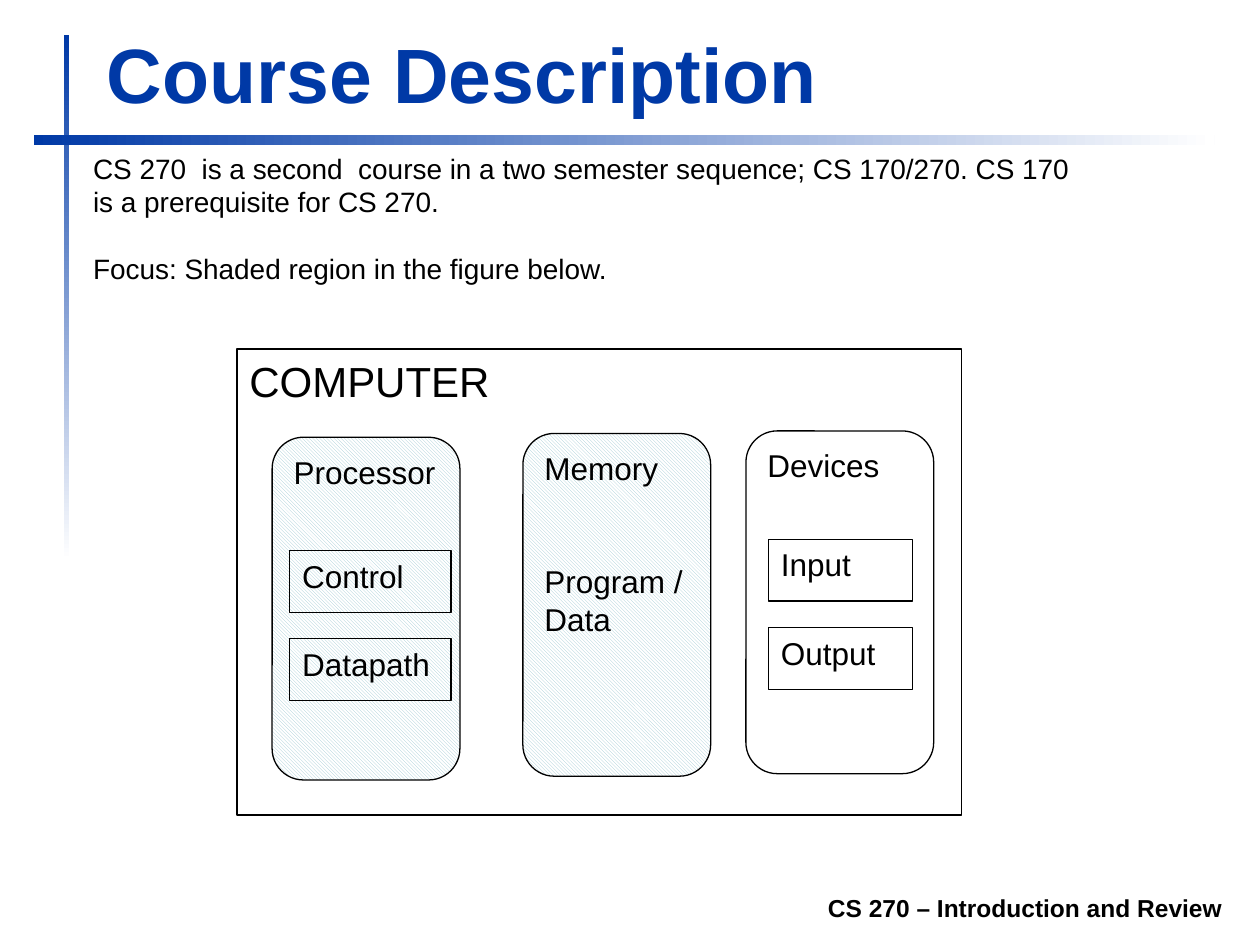
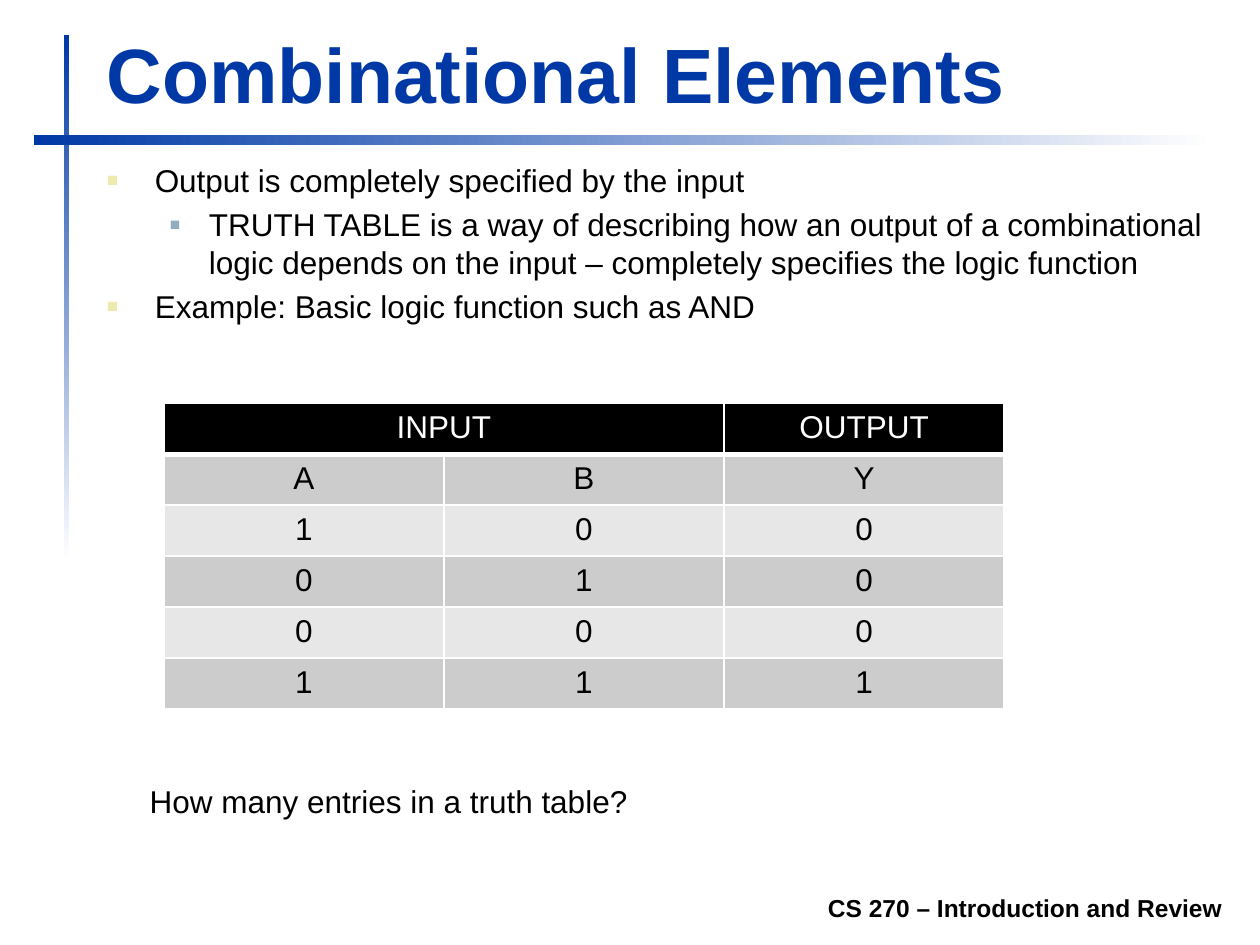
from lxml import etree
from pptx import Presentation, util as u
from pptx.dml.color import RGBColor
from pptx.enum import dml, shapes, text
from pptx.oxml import ns

FONT = "Arial"
BLUE, BLACK, WHITE = "0039A6", "000000", "FFFFFF"
HATCH = "9FCAD3"
BAND_COLORS = ["CCCCCC", "E7E7E7"]
BULLETS = [
    {"left": 0.38, "hang": 0.38, "color": "ECEAAC", "percent": 60},
    {"left": 0.81, "hang": 0.31, "color": "91AFBF", "percent": 55},
]
FOOTER = "CS 270 – Introduction and Review"


def rgb(value):
    """Turn a hex string into a colour."""
    return RGBColor.from_string(value)


def inches(*values):
    """Convert several numbers to inch lengths."""
    return [u.Inches(value) for value in values]


def add_xml(parent, tag, **attributes):
    """Append a DrawingML element and return it."""
    return etree.SubElement(parent, ns.qn(f"a:{tag}"), attributes)


def write_text(frame, *lines, size=18, bold=False, color=BLACK,
               align=text.PP_ALIGN.LEFT, gap=0):
    """Write lines as paragraphs, with a gap in points between them."""
    for index, line in enumerate(lines):
        paragraph = frame.add_paragraph() if index else frame.paragraphs[0]
        paragraph.alignment = align
        if index and gap:
            paragraph.space_before = u.Pt(gap)
        run = paragraph.add_run()
        run.text = line
        run.font.name = FONT
        run.font.size = u.Pt(size)
        run.font.bold = bold
        run.font.color.rgb = rgb(color)


def add_text_box(slide, place, *lines, wrap=True,
                 anchor=text.MSO_ANCHOR.TOP, **style):
    """Add a text box and return its text frame."""
    frame = slide.shapes.add_textbox(*inches(*place)).text_frame
    frame.word_wrap = wrap
    frame.vertical_anchor = anchor
    write_text(frame, *lines, **style)
    return frame


def add_fading_bar(slide, place, angle):
    """Add a bar that fades from blue to white."""
    bar = slide.shapes.add_shape(shapes.MSO_SHAPE.RECTANGLE, *inches(*place))
    bar.shadow.inherit = False
    bar.line.fill.background()
    bar.fill.gradient()
    bar.fill.gradient_angle = angle
    for stop, color in zip(bar.fill.gradient_stops, (BLUE, WHITE)):
        stop.color.rgb = rgb(color)


def add_component(slide, place, *lines, rounded=False, shaded=False, **style):
    """Add an outlined component box, hatched if it is in focus."""
    kind = shapes.MSO_SHAPE.ROUNDED_RECTANGLE if rounded else shapes.MSO_SHAPE.RECTANGLE
    box = slide.shapes.add_shape(kind, *inches(*place))
    box.shadow.inherit = False
    box.line.color.rgb = rgb(BLACK)
    box.line.width = u.Pt(0.75)
    if shaded:
        box.fill.patterned()
        box.fill.pattern = dml.MSO_PATTERN.LIGHT_DOWNWARD_DIAGONAL
        box.fill.fore_color.rgb = rgb(HATCH)
        box.fill.back_color.rgb = rgb(WHITE)
    else:
        box.fill.solid()
        box.fill.fore_color.rgb = rgb(WHITE)
    box.text_frame.word_wrap = True
    box.text_frame.vertical_anchor = text.MSO_ANCHOR.TOP
    write_text(box.text_frame, *lines, **style)


def add_bullet(paragraph, level):
    """Give a paragraph the square bullet of its level."""
    bullet = BULLETS[level]
    paragraph.level = level
    paragraph.space_before = u.Pt(3.6)
    properties = paragraph._p.get_or_add_pPr()
    properties.set("marL", str(u.Inches(bullet["left"])))
    properties.set("indent", str(-u.Inches(bullet["hang"])))
    add_xml(add_xml(properties, "buClr"), "srgbClr", val=bullet["color"])
    add_xml(properties, "buSzPct", val=str(bullet["percent"] * 1000))
    add_xml(properties, "buFont", typeface=FONT)
    add_xml(properties, "buChar", char="■")


def add_cell_borders(cell, bottom):
    """Draw white borders, with the bottom width given in points."""
    properties = cell._tc.get_or_add_tcPr()
    for side, width in (("L", 1), ("R", 1), ("T", 1), ("B", bottom)):
        line = add_xml(properties, f"ln{side}", w=str(u.Pt(width)))
        add_xml(add_xml(line, "solidFill"), "srgbClr", val=WHITE)


def add_truth_table(slide, place, rows):
    """Add a banded table whose header joins the two input columns."""
    table = slide.shapes.add_table(len(rows), len(rows[0]), *inches(*place)).table
    table.first_row = table.horz_banding = False
    for r, row in enumerate(rows):
        for c, value in enumerate(row):
            cell = table.cell(r, c)
            add_cell_borders(cell, 1 if r else 3)
            cell.fill.solid()
            cell.fill.fore_color.rgb = rgb(BAND_COLORS[(r - 1) % 2] if r else BLACK)
            if value:
                write_text(cell.text_frame, value, color=BLACK if r else WHITE,
                           align=text.PP_ALIGN.CENTER)
    table.cell(0, 0).merge(table.cell(0, 1))


def add_slide(presentation, title):
    """Add a slide with the shared bars, title and footer."""
    slide = presentation.slides.add_slide(presentation.slide_layouts[6])
    add_fading_bar(slide, (0.51, 0.28, 0.04, 4.17), 270)
    add_fading_bar(slide, (0.27, 1.07, 9.37, 0.08), 0)
    add_text_box(slide, (0.75, 0.15, 9.03, 0.84), title, size=44, bold=True,
                 color=BLUE, anchor=text.MSO_ANCHOR.BOTTOM)
    add_text_box(slide, (1.85, 6.98, 7.95, 0.39), FOOTER, size=14, bold=True,
                 align=text.PP_ALIGN.RIGHT, anchor=text.MSO_ANCHOR.BOTTOM)
    return slide


def build_course_slide(presentation):
    """Build the course description with its computer diagram."""
    slide = add_slide(presentation, "Course Description")
    add_component(slide, (1.88, 2.77, 5.75, 3.7), "COMPUTER", size=24)
    units = [
        (2.16, 3.47, True, ["Processor"]),
        (4.15, 3.44, True, ["Memory", "Program /Data"]),
        (5.92, 3.42, False, ["Devices"]),
    ]
    for left, top, shaded, lines in units:
        add_component(slide, (left, top, 1.49, 2.72), *lines, rounded=True,
                      shaded=shaded, gap=43)
    part_columns = [
        (2.3, 4.37, 1.28, True, ["Control", "Datapath"]),
        (6.1, 4.28, 1.14, False, ["Input", "Output"]),
    ]
    for left, top, width, shaded, names in part_columns:
        for index, name in enumerate(names):
            add_component(slide, (left, top + 0.7 * index, width, 0.49), name,
                          shaded=shaded)
    add_text_box(
        slide, (0.64, 1.15, 7.98, 1.18),
        "CS 270  is a second  course in a two semester sequence; CS 170/270. "
        "CS 170 is a prerequisite for CS 270.",
        "Focus: Shaded region in the figure below.", size=16, gap=19)


def build_logic_slide(presentation):
    """Build the combinational elements slide with its truth table."""
    slide = add_slide(presentation, "Combinational Elements")
    body = add_text_box(
        slide, (0.75, 1.23, 9.05, 5.59),
        "Output is completely specified by the input",
        "TRUTH TABLE is a way of describing how an output of a combinational "
        "logic depends on the input – completely specifies the logic function",
        "Example: Basic logic function such as AND")
    for paragraph, level in zip(body.paragraphs, (0, 1, 0)):
        add_bullet(paragraph, level)
    add_truth_table(slide, (1.3, 3.2, 6.67, 2.43),
                    [("INPUT", "", "OUTPUT"), "ABY", "100", "010", "000", "111"])
    add_text_box(slide, (1.09, 6.16, 4.03, 0.4),
                 "How many entries in a truth table?", wrap=False)


def main():
    """Build and save the presentation."""
    presentation = Presentation()
    presentation.slide_width, presentation.slide_height = inches(10, 7.5)
    build_course_slide(presentation)
    build_logic_slide(presentation)
    presentation.save("out.pptx")


if __name__ == "__main__":
    main()
